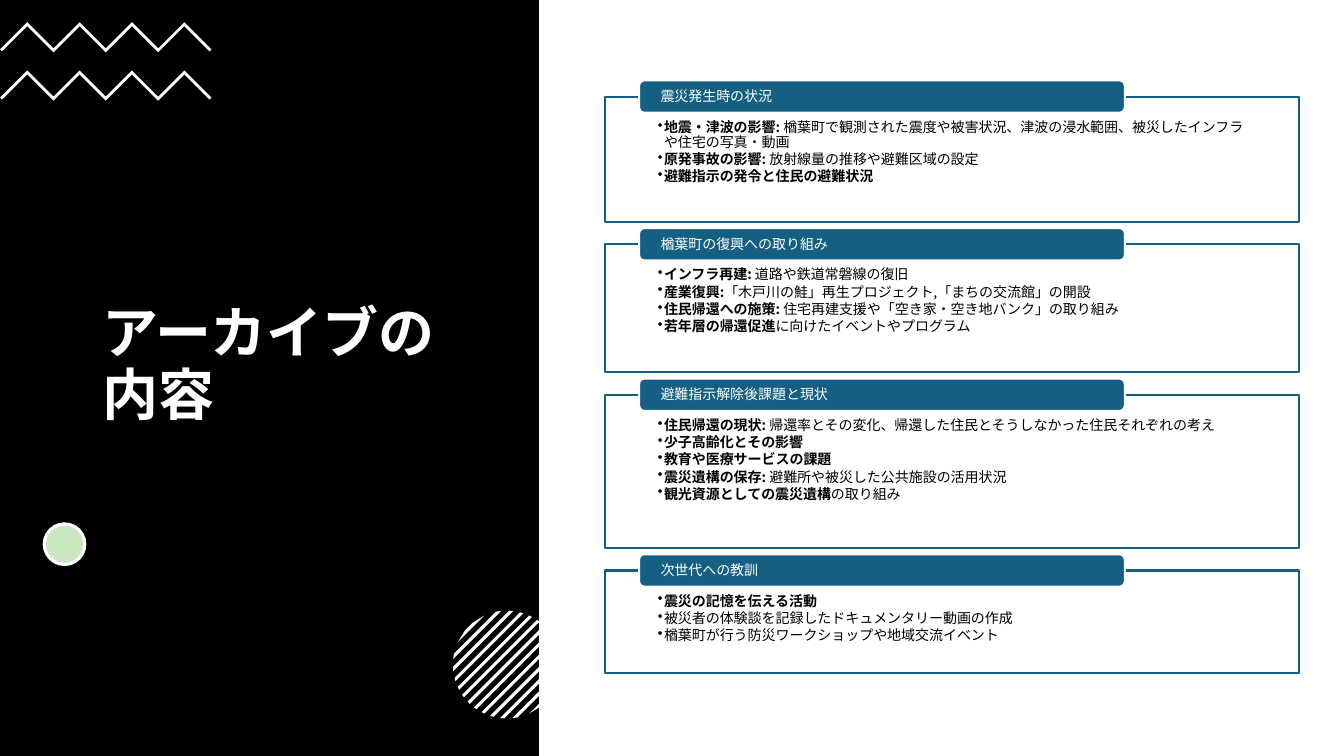
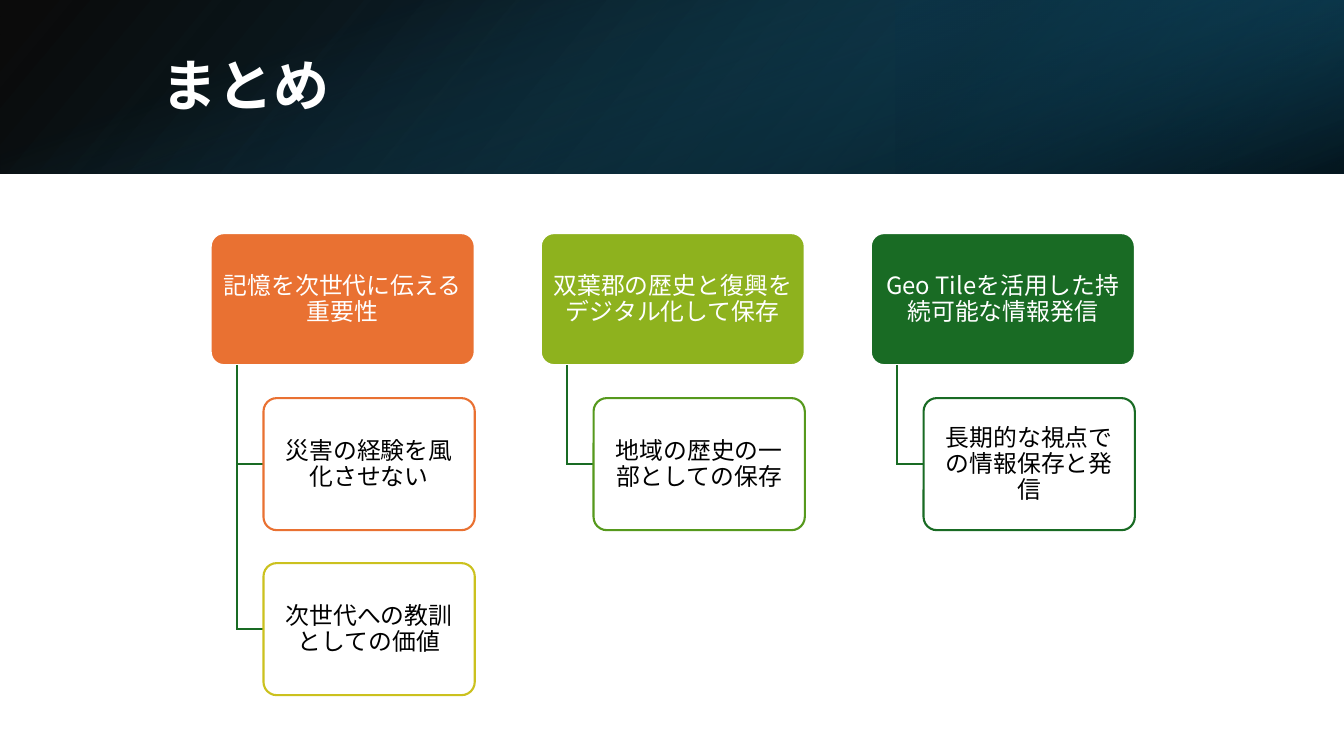
"""Build two slides: the archive contents and the summary."""
from itertools import accumulate
from math import sqrt

from lxml.etree import SubElement
from pptx import Presentation
from pptx.dml.color import RGBColor
from pptx.enum.lang import MSO_LANGUAGE_ID as LANG
from pptx.enum.shapes import MSO_SHAPE as SHAPE
from pptx.enum.text import MSO_ANCHOR as ANCHOR, MSO_AUTO_SIZE as AUTO, PP_ALIGN as ALIGN
from pptx.oxml import parse_xml
from pptx.oxml.ns import nsdecls, qn
from pptx.util import Pt

FONT = "Noto Sans CJK JP"
C = {"white": "FFFFFF", "black": "000000", "blue": "156082", "mint": "CAE5C0",
     "orange": "E97132", "olive": "8EB21E", "green": "196B24", "yellow": "CBC11E",
     "leaf": "56991D", "navy": "104862", "deep": "0B3041"}
W, H = 960, 540

ARCHIVE_TITLE = "アーカイブの内容"
SECTIONS = [
    ("震災発生時の状況", 89.5, [
        ("地震・津波の影響: ", "楢葉町で観測された震度や被害状況、津波の浸水範囲、被災したインフラや住宅の写真・動画"),
        ("原発事故の影響: ", "放射線量の推移や避難区域の設定"),
        ("避難指示の発令と住民の避難状況", "")]),
    ("楢葉町の復興への取り組み", 91.5, [
        ("インフラ再建: ", "道路や鉄道常磐線の復旧"),
        ("産業復興:", "「木戸川の鮭」再生プロジェクト,「まちの交流館」の開設"),
        ("住民帰還への施策: ", "住宅再建支援や「空き家・空き地バンク」の取り組み"),
        ("若年層の帰還促進", "に向けたイベントやプログラム")]),
    ("避難指示解除後課題と現状", 109.5, [
        ("住民帰還の現状: ", "帰還率とその変化、帰還した住民とそうしなかった住民それぞれの考え"),
        ("少子高齢化とその影響", ""),
        ("教育や医療サービスの課題", ""),
        ("震災遺構の保存: ", "避難所や被災した公共施設の活用状況"),
        ("観光資源としての震災遺構", "の取り組み")]),
    ("次世代への教訓", 73.5, [
        ("震災の記憶を伝える活動", ""),
        ("", "被災者の体験談を記録したドキュメンタリー動画の作成"),
        ("", "楢葉町が行う防災ワークショップや地域交流イベント")]),
]

SUMMARY_TITLE = "まとめ"
TREES = [
    ("記憶を次世代に伝える重要性", "orange",
     [("災害の経験を風化させない", "orange"), ("次世代への教訓としての価値", "yellow")]),
    ("双葉郡の歴史と復興をデジタル化して保存", "olive",
     [("地域の歴史の一部としての保存", "leaf")]),
    ("Geo Tileを活用した持続可能な情報発信", "green",
     [("長期的な視点での情報保存と発信", "green")]),
]
BAND = 124
BAND_LAYERS = [
    ((0, 0, W, BAND), 0, True, 140, [(0, "black", 96), (100, "navy", 100)]),
    ((W * 2 / 3, 0, W / 3, BAND), 180, True, 320, [(19, "deep", 68), (100, "blue", 79)]),
    (((W - BAND) / 2, (BAND - W) / 2, BAND, W), 90, False, 340,
     [(23, "blue", 0), (99, "black", 74)]),
]


def rgb(name):
    return RGBColor.from_string(C[name])


def style(sp, fill=None, line=None, width=1.5):
    sp.shadow.inherit = False
    if fill:
        sp.fill.solid()
        sp.fill.fore_color.rgb = rgb(fill)
    else:
        sp.fill.background()
    if line:
        sp.line.color.rgb = rgb(line)
        sp.line.width = Pt(width)
    else:
        sp.line.fill.background()
    return sp


def box(s, kind, place, fill=None, line=None, width=1.5):
    return style(s.shapes.add_shape(kind, *(Pt(v) for v in place)), fill, line, width)


def outline(s, points, fill=None, line=None, width=1.5):
    pts = [(Pt(x), Pt(y)) for x, y in points]
    builder = s.shapes.build_freeform(*pts[0])
    builder.add_line_segments(pts[1:], close=fill is not None)
    sp = style(builder.convert_to_shape(), fill, line, width)
    if line:
        SubElement(sp.line._get_or_add_ln(), qn("a:miter"), lim="800000")
    return sp


def write(sp, paragraphs, size, color="white", bold=False, align=ALIGN.LEFT,
          anchor=ANCHOR.MIDDLE, inset=(7.2, 3.6, 7.2, 3.6), leading=1.1, after=0, bullet=False):
    """Fill a shape with paragraphs, each a list of (text, bold) runs or a string."""
    tf = sp.text_frame
    tf.word_wrap, tf.auto_size, tf.vertical_anchor = True, AUTO.NONE, anchor
    tf.margin_left, tf.margin_top, tf.margin_right, tf.margin_bottom = map(Pt, inset)
    for i, runs in enumerate(paragraphs):
        p = tf.add_paragraph() if i else tf.paragraphs[0]
        p.alignment, p.line_spacing, p.space_after = align, Pt(size * leading), Pt(after)
        p.space_before = Pt(0)
        if bullet:
            pPr = p._p.get_or_add_pPr()
            pPr.set("marL", str(Pt(4.3)))
            pPr.set("indent", str(Pt(-4.3)))
            SubElement(pPr, qn("a:buChar"), char="•")
        for text, strong in [(runs, bold)] if isinstance(runs, str) else runs:
            r = p.add_run()
            r.text = text
            f = r.font
            f.size, f.bold, f.name, f.language_id = Pt(size), strong, FONT, LANG.JAPANESE
            f.color.rgb = rgb(color)
            SubElement(r._r.get_or_add_rPr(), qn("a:ea"), typeface=FONT)


def add_title(s, text, place):
    sp = s.shapes.title
    sp.left, sp.top, sp.width, sp.height = map(Pt, place)
    sp.element.getparent().append(sp.element)
    write(sp, [text], 40, bold=True)


def gradient(sp, angle, stops):
    gs = "".join(f'<a:gs pos="{pos * 1000}"><a:srgbClr val="{C[name]}">'
                 f'<a:alpha val="{alpha * 1000}"/></a:srgbClr></a:gs>'
                 for pos, name, alpha in stops)
    new = parse_xml(f'<a:gradFill {nsdecls("a")} rotWithShape="1"><a:gsLst>{gs}</a:gsLst>'
                    f'<a:lin ang="{angle * 60000}" scaled="0"/></a:gradFill>')
    spPr = sp.element.spPr
    spPr.replace(spPr.find(qn("a:noFill")), new)


def striped_disc(s, cx, cy, radius, pitch, half):
    """Draw diagonal stripes clipped to a circle."""
    for k in range(-6, 7):
        points = []
        for edge, side in ((-half, 1), (half, -1)):
            d = max(-radius, min(radius, k * pitch + edge))
            h = sqrt(radius ** 2 - d ** 2)
            points += [(cx + (d + t * h) / sqrt(2), cy + (d - t * h) / sqrt(2))
                       for t in (side, -side)]
        outline(s, points, fill="white")


def archive_slide(s):
    box(s, SHAPE.RECTANGLE, (0, 0, 385, H), "black")
    add_title(s, ARCHIVE_TITLE, (66, 94, 262, 333))
    for top in (17.3, 51.8):
        outline(s, [(0.8 + 18.7 * i, top + 18.7 * (i % 2 == 0)) for i in range(9)],
                line="white", width=2)
    box(s, SHAPE.OVAL, (31.6, 374.2, 29, 29), "mint", "white", 2.25)
    striped_disc(s, 362, 474.7, 38.5, 6.2, 1.1)

    gap = 16
    tops = accumulate((h + gap for _, h, _ in SECTIONS), initial=69)
    for (heading, height, items), top in zip(SECTIONS, tops):
        sp = box(s, SHAPE.RECTANGLE, (432, top, 496, height), "white", "blue")
        write(sp, [[(t, b) for t, b in ((strong, True), (plain, False)) if t]
                   for strong, plain in items],
              10, "black", anchor=ANCHOR.TOP, inset=(38, 16.8, 38, 5.8),
              leading=1.07, after=1.6, bullet=True)
        tab = box(s, SHAPE.ROUNDED_RECTANGLE, (456.5, top - 11.6, 347, 23.2), "blue", "white")
        write(tab, [heading], 10, inset=(14.2, 0, 14.2, 0))


def summary_slide(s):
    for place, rotation, flip, angle, stops in BAND_LAYERS:
        sp = box(s, SHAPE.RECTANGLE, place)
        sp.rotation = rotation
        if flip:
            sp.element.spPr.xfrm.set("flipH", "1")
        gradient(sp, angle, stops)
    add_title(s, SUMMARY_TITLE, (108, 27.4, 790, 69))

    w, h, left, top = 188.6, 94.3, 150.5, 166.5

    def card(text, place, fill, line, color):
        sp = box(s, SHAPE.ROUNDED_RECTANGLE, place, fill, line)
        sp.adjustments[0] = 0.1
        write(sp, [text], 17, color, align=ALIGN.CENTER, inset=(5.6, 4, 5.6, 4))

    for col, (heading, fill, children) in enumerate(TREES):
        x = left + col * 1.25 * w
        card(heading, (x, top, w, h), fill, "white", "white")
        for row, (text, line) in enumerate(children, 1):
            y = top + row * 1.25 * h
            stem, arm = x + 0.1 * w, x + 0.2 * w
            outline(s, [(stem, top + h), (stem, y + h / 2), (arm, y + h / 2)], line="green")
            card(text, (arm, y, 0.8 * w, h), "white", line, "black")


def main():
    prs = Presentation()
    prs.slide_width, prs.slide_height = Pt(W), Pt(H)
    for build in (archive_slide, summary_slide):
        build(prs.slides.add_slide(prs.slide_layouts[5]))
    prs.save("out.pptx")


if __name__ == "__main__":
    main()
